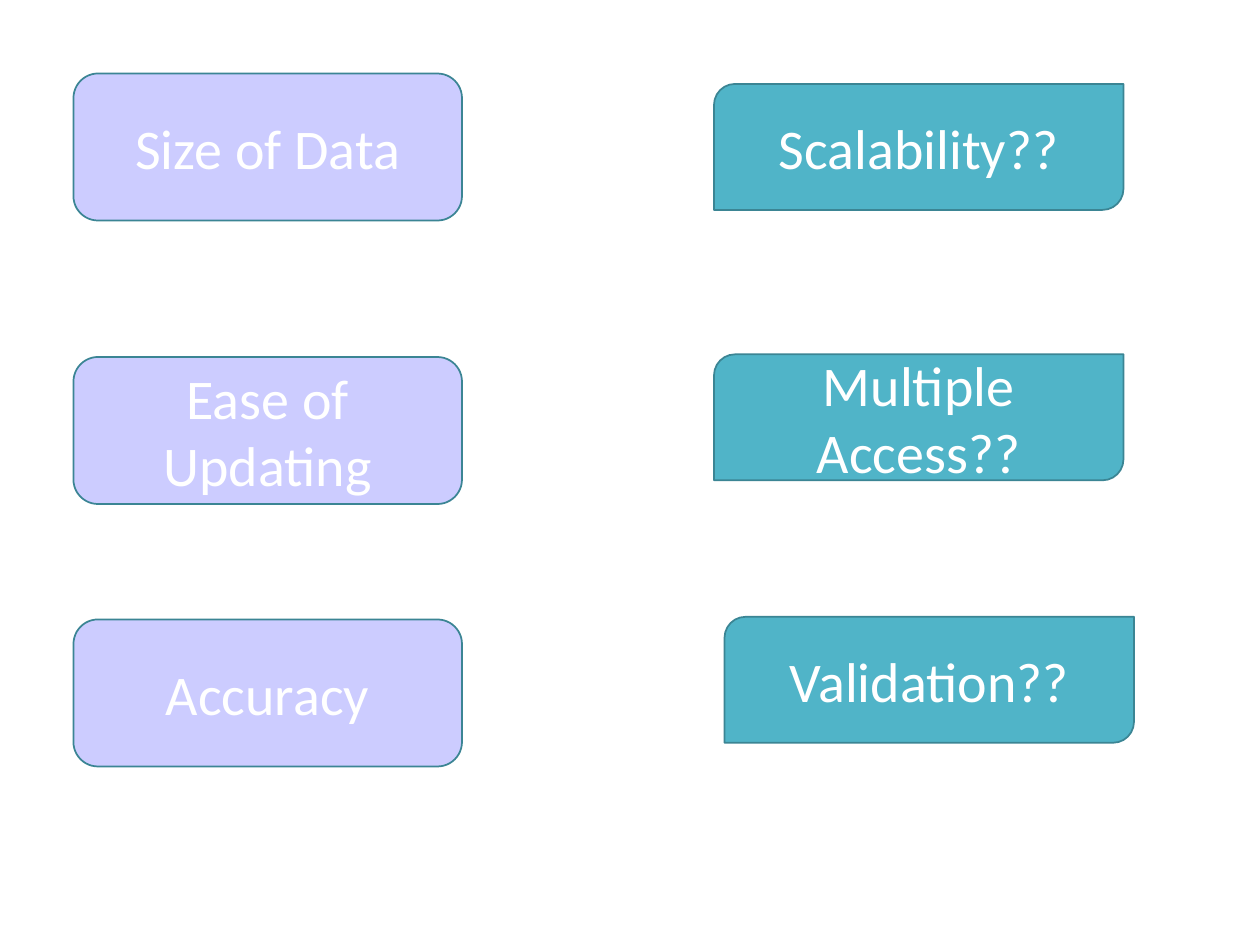
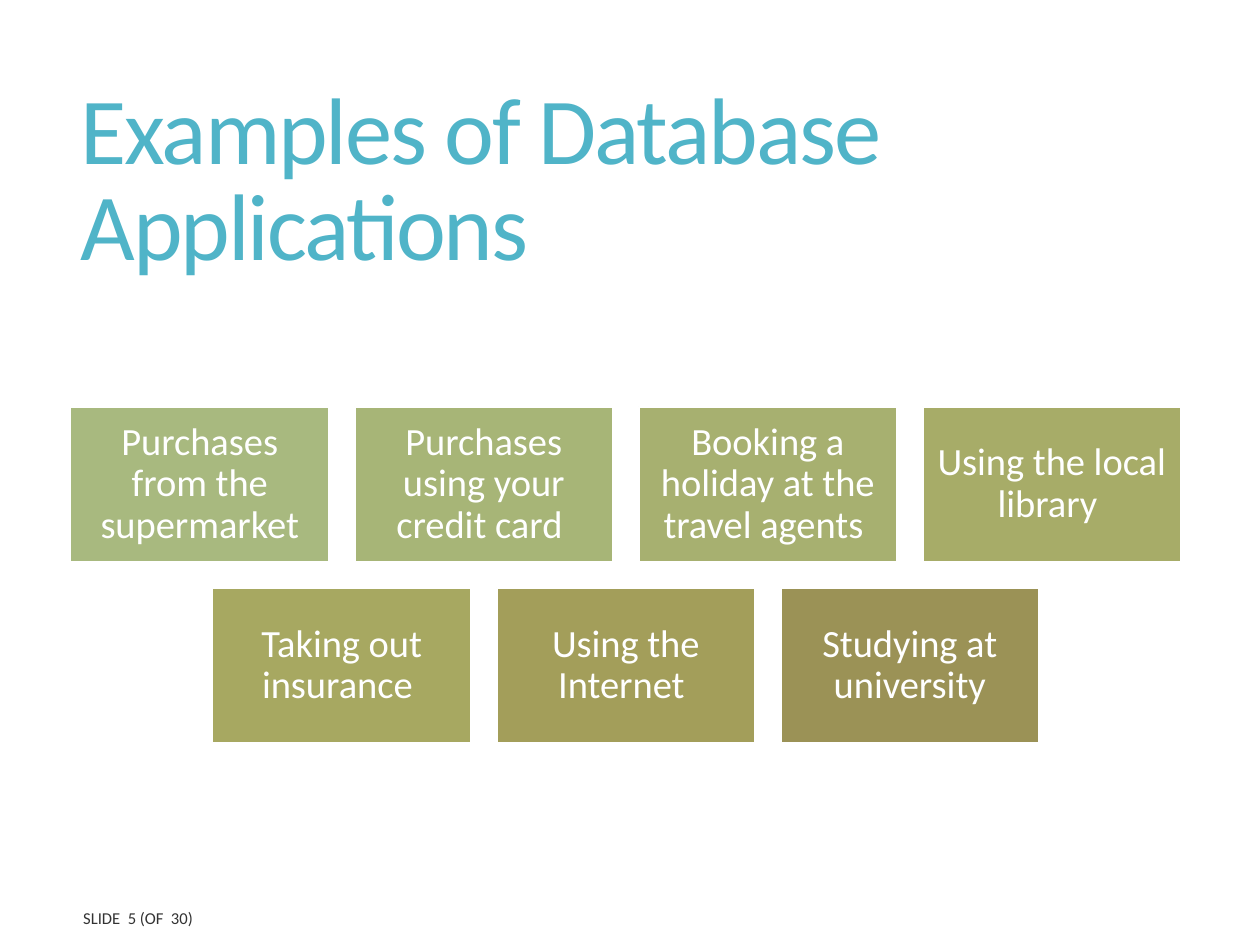
import dataclasses

import pptx
import pptx.dml.color
import pptx.enum.shapes
import pptx.enum.text
import pptx.util

MSO = pptx.enum.shapes.MSO_SHAPE
ALIGN = pptx.enum.text.PP_ALIGN


@dataclasses.dataclass(frozen=True)
class Theme:
    font: str = "Calibri"
    white: str = "FFFFFF"
    accent: str = "50B4C8"
    lilac: str = "CCCCFF"
    outline: str = "3B8594"
    footer: str = "333333"
    tiles: tuple = ("A8B97F", "A7B577", "A7B070", "A7AC68", "A7A861", "A39E5A", "9B9256")
    title_size: float = 54
    box_size: float = 32
    tile_size: float = 22
    footer_size: float = 9.5


THEME = Theme()
WIDTH = pptx.util.Inches(10)
HEIGHT = pptx.util.Inches(7.5)
COLUMNS = 120

FACTOR_LEFT = 7
FACTORS = [("Size of Data", 7), ("Ease of Updating", 34), ("Accuracy", 59)]
QUESTIONS = [
    ("Scalability??", 68, 8),
    ("Multiple Access??", 68, 33.75),
    ("Validation??", 69, 58.75),
]
APPLICATION_ROWS = [
    [
        "Purchases from the supermarket",
        "Purchases using your credit card ",
        "Booking a holiday at the travel agents ",
        "Using the local library ",
    ],
    ["Taking out insurance ", "Using the Internet ", "Studying at university"],
]
TILE_WIDTH, TILE_HEIGHT = 24.6, 14.75
TILE_STEP, TILE_ROW_STEP = 27.05, 17.25
TILES_CENTRE, TILES_TOP = 59.6, 38.75


def grid(*units):
    return [round(WIDTH * u / COLUMNS) for u in units]


def rgb(colour):
    return pptx.dml.color.RGBColor.from_string(colour)


def write(sp, text, size, colour=THEME.white, align=ALIGN.CENTER,
          line_spacing=None, space_after=None, tracking=None, inset=None):
    tf = sp.text_frame
    tf.word_wrap = True
    tf.vertical_anchor = pptx.enum.text.MSO_ANCHOR.MIDDLE
    if inset is not None:
        margin = pptx.util.Inches(inset)
        tf.margin_left = tf.margin_right = margin
        tf.margin_top = tf.margin_bottom = margin
    p = tf.paragraphs[0]
    p.alignment = align
    if line_spacing is not None:
        p.line_spacing = line_spacing
    if space_after is not None:
        p.space_after = pptx.util.Pt(space_after)
    r = p.add_run()
    r.text = text
    r.font.name = THEME.font
    r.font.size = pptx.util.Pt(size)
    r.font.color.rgb = rgb(colour)
    if tracking is not None:
        r.font._element.set("spc", str(round(tracking * 100)))


def add_box(s, kind, at, fill, line, text, size, **text_format):
    sp = s.shapes.add_shape(kind, *grid(*at))
    sp.shadow.inherit = False
    sp.fill.solid()
    sp.fill.fore_color.rgb = rgb(fill)
    sp.line.color.rgb = rgb(line)
    sp.line.width = pptx.util.Pt(1)
    write(sp, text, size, **text_format)


def add_label(s, at, text, size, **text_format):
    sp = s.shapes.add_textbox(*grid(*at))
    write(sp, text, size, align=ALIGN.LEFT, space_after=6, **text_format)


def add_tiles(s, rows):
    colours = iter(THEME.tiles)
    for i, row in enumerate(rows):
        row_width = TILE_STEP * (len(row) - 1) + TILE_WIDTH
        left = TILES_CENTRE - row_width / 2
        top = TILES_TOP + i * TILE_ROW_STEP
        for j, text in enumerate(row):
            at = (left + j * TILE_STEP, top, TILE_WIDTH, TILE_HEIGHT)
            add_box(s, MSO.RECTANGLE, at, next(colours), THEME.white, text,
                    THEME.tile_size, line_spacing=0.9, inset=0.09)


def build_questions(s):
    for text, top in FACTORS:
        add_box(s, MSO.ROUNDED_RECTANGLE, (FACTOR_LEFT, top, 37, 14),
                THEME.lilac, THEME.outline, text, THEME.box_size)
    for text, left, top in QUESTIONS:
        add_box(s, MSO.ROUND_2_DIAG_RECTANGLE, (left, top, 39, 12),
                THEME.accent, THEME.outline, text, THEME.box_size)


def build_applications(s):
    add_label(s, (6.5, 6.6, 106, 21.75), "Examples of Database Applications",
              THEME.title_size, colour=THEME.accent, line_spacing=0.85, tracking=-1.2)
    add_label(s, (6.75, 86, 49.5, 3), "SLIDE  5 (OF  30)",
              THEME.footer_size, colour=THEME.footer, line_spacing=0.9)
    add_tiles(s, APPLICATION_ROWS)


def main():
    prs = pptx.Presentation()
    prs.slide_width, prs.slide_height = WIDTH, HEIGHT
    for build in (build_questions, build_applications):
        build(prs.slides.add_slide(prs.slide_layouts[6]))
    prs.save("out.pptx")


if __name__ == "__main__":
    main()
